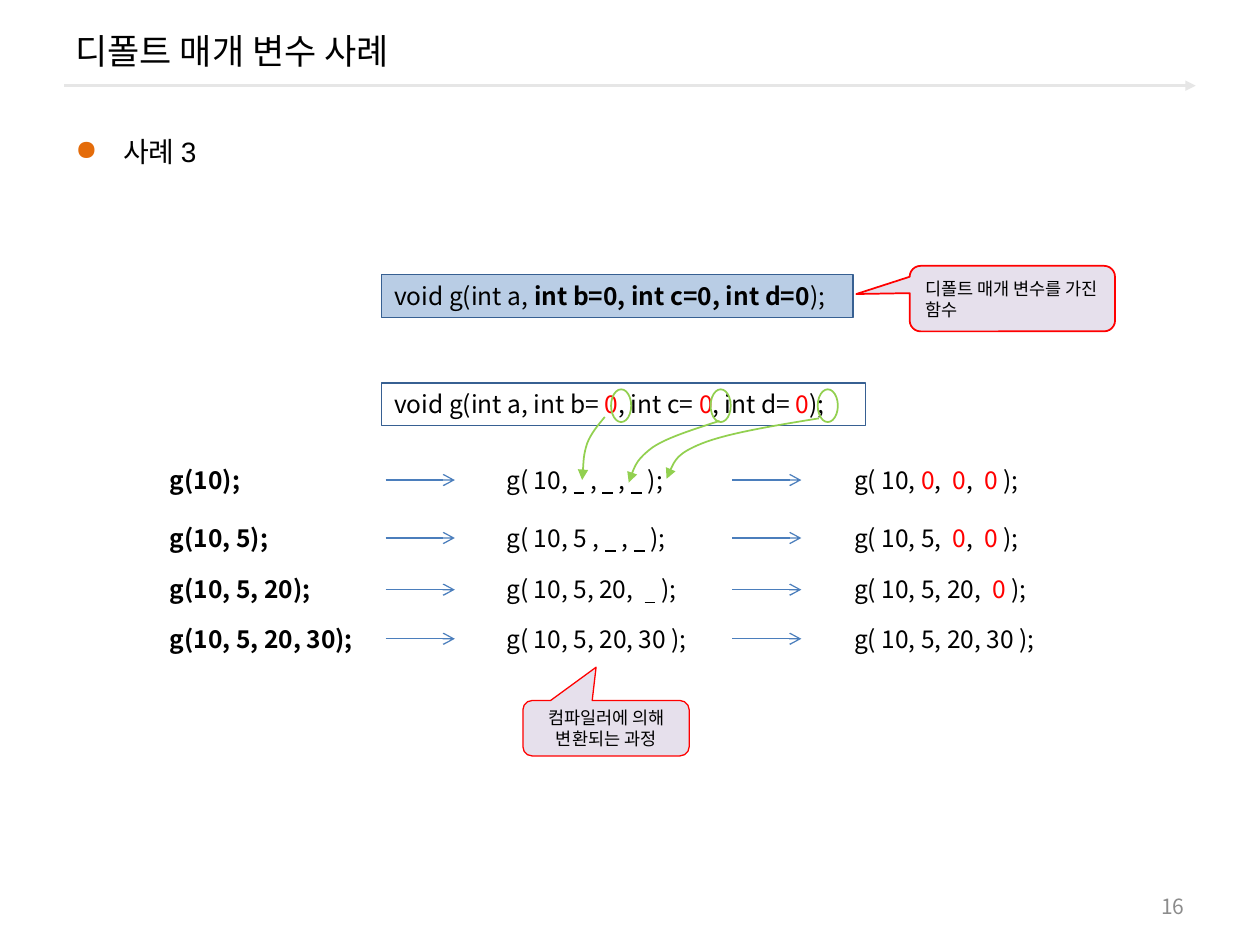
from lxml import etree
from pptx import Presentation
from pptx.dml.color import RGBColor
from pptx.enum.shapes import MSO_CONNECTOR, MSO_SHAPE
from pptx.enum.text import MSO_ANCHOR, MSO_AUTO_SIZE, PP_ALIGN
from pptx.oxml.ns import qn
from pptx.util import Inches, Pt

RECTANGLE = MSO_SHAPE.RECTANGLE
OVAL = MSO_SHAPE.OVAL
CALLOUT = MSO_SHAPE.ROUNDED_RECTANGULAR_CALLOUT
STRAIGHT = MSO_CONNECTOR.STRAIGHT
TOP, MIDDLE = MSO_ANCHOR.TOP, MSO_ANCHOR.MIDDLE
LEFT, CENTER, RIGHT = PP_ALIGN.LEFT, PP_ALIGN.CENTER, PP_ALIGN.RIGHT
FIT_TEXT = MSO_AUTO_SIZE.SHAPE_TO_FIT_TEXT
FONT = "Noto Sans CJK KR"
BLACK, RED, GREEN = "000000", "FF0000", "92D050"
LINE_HEIGHT = 0.34

CALL_ROWS = [
    (3.64, ("g(10);", 0.81), ("g( 10, |  | , |  | , |  | );", 1.79),
     ("g( 10, |0|,  |0|,  |0| );", 1.64)),
    (4.1, ("g(10, 5);", 1.05), ("g( 10, 5 , |  | , |  | );", 1.76),
     ("g( 10, 5,  |0|,  |0| );", 1.64)),
    (4.51, ("g(10, 5, 20);", 1.39), ("g( 10, 5, 20,  |  | );", 1.77),
     ("g( 10, 5, 20,  |0| );", 1.68)),
    (4.9, ("g(10, 5, 20, 30);", 1.74), ("g( 10, 5, 20, 30 );", 1.78),
     ("g( 10, 5, 20, 30 );", 1.72)),
]
DEFAULT_VALUE_CURVES = [
    [(4.8, 3.31), (4.75, 3.37), (4.69, 3.44), (4.66, 3.52),
     (4.63, 3.61), (4.63, 3.71), (4.62, 3.81)],
    [(5.71, 3.34), (5.5, 3.41), (5.3, 3.47), (5.18, 3.55),
     (5.06, 3.64), (5.02, 3.73), (4.99, 3.83)],
    [(6.5, 3.32), (6.13, 3.38), (5.77, 3.44), (5.57, 3.52),
     (5.37, 3.6), (5.33, 3.7), (5.29, 3.8)],
]


def color(value):
    """Turn a hex string into a colour."""
    return RGBColor.from_string(value)


def write_text(shape, text, size, font=FONT, text_color=BLACK, bold=False,
               align=LEFT, anchor=TOP, wrap=True, emphasis=None, bullet=None):
    """Write one paragraph; parts between bars get the emphasis."""
    frame = shape.text_frame
    frame.word_wrap = wrap
    frame.vertical_anchor = anchor
    if not wrap:
        frame.auto_size = FIT_TEXT
    paragraph = frame.paragraphs[0]
    paragraph.alignment = align
    if bullet:
        add_bullet(paragraph, bullet)
    paragraph.font.size = Pt(size)
    paragraph.font.bold = bold
    paragraph.font.name = font
    paragraph.font.color.rgb = color(text_color)
    defaults = paragraph._p.pPr.find(qn("a:defRPr"))
    etree.SubElement(defaults, qn("a:ea"), typeface=FONT)
    for index, part in enumerate(text.split("|")):
        run = paragraph.add_run()
        run.text = part
        if index % 2 and emphasis:
            emphasis(run.font)


def add_bullet(paragraph, bullet_color):
    """Give the paragraph a coloured dot and a hanging indent."""
    properties = paragraph._p.get_or_add_pPr()
    properties.set("marL", str(Inches(0.38)))
    properties.set("indent", str(-Inches(0.38)))
    bullet = etree.SubElement(properties, qn("a:buClr"))
    etree.SubElement(bullet, qn("a:srgbClr"), val=bullet_color)
    etree.SubElement(properties, qn("a:buChar"), char="●")


def make_red(font):
    """Colour a default value red."""
    font.color.rgb = color(RED)


def make_underlined(font):
    """Underline an empty argument."""
    font.underline = True


def make_bold(font):
    """Embolden a default parameter."""
    font.bold = True


def add_text(slide, box, text, size, **style):
    """Add a text box."""
    shape = slide.shapes.add_textbox(*map(Inches, box))
    write_text(shape, text, size, **style)


def style_shape(shape, line, width, fill=None):
    """Set the outline and fill and remove the shadow."""
    shape.shadow.inherit = False
    shape.line.color.rgb = color(line)
    shape.line.width = Pt(width)
    if fill:
        shape.fill.solid()
        shape.fill.fore_color.rgb = color(fill)
    else:
        shape.fill.background()


def add_box(slide, kind, box, line, width, fill=None):
    """Add a styled preset shape."""
    shape = slide.shapes.add_shape(kind, *map(Inches, box))
    style_shape(shape, line, width, fill)
    return shape


def add_arrowhead(shape, kind):
    """Put an arrowhead at the end of a line."""
    etree.SubElement(shape.line._get_or_add_ln(), qn("a:tailEnd"), type=kind)


def add_arrow(slide, left, right, y, line, width, head):
    """Add a horizontal arrow."""
    arrow = slide.shapes.add_connector(
        STRAIGHT, Inches(left), Inches(y), Inches(right), Inches(y))
    arrow.line.color.rgb = color(line)
    arrow.line.width = Pt(width)
    add_arrowhead(arrow, head)
    etree.SubElement(arrow._element.spPr, qn("a:effectLst"))


def add_curve(slide, points):
    """Add a green arrow of cubic curves, three points to a curve."""
    start, *rest = [(Inches(x), Inches(y)) for x, y in points]
    builder = slide.shapes.build_freeform(*start)
    builder.add_line_segments(rest, close=False)
    shape = builder.convert_to_shape()
    style_shape(shape, GREEN, 1)
    add_arrowhead(shape, "triangle")
    outline = next(shape._element.iter(qn("a:path")))
    segments = outline.findall(qn("a:lnTo"))
    for first in range(0, len(segments), 3):
        curve = etree.SubElement(outline, qn("a:cubicBezTo"))
        for segment in segments[first:first + 3]:
            curve.append(segment[0])
            outline.remove(segment)


def add_header(slide, left, top, width, height):
    """Add the title and the arrow beneath it."""
    add_arrow(slide, left + 0.01, left + width - 0.01, top + 0.6,
              "E6E6E6", 1.5, "triangle")
    add_text(slide, (left, top, width, height), "디폴트 매개 변수 사례", 20, anchor=MIDDLE)


def add_declaration(slide, box, text, emphasis, fill=None):
    """Add a framed function declaration."""
    shape = add_box(slide, RECTANGLE, box, "376092", 0.75, fill)
    write_text(shape, text, 14, wrap=False, emphasis=emphasis)


def add_callout(slide, box, text, tip, width, align):
    """Add a callout whose tip is given relative to its box."""
    shape = add_box(slide, CALLOUT, box, RED, width, "E6E0EC")
    shape.adjustments[0], shape.adjustments[1] = tip
    write_text(shape, text, 10, align=align, anchor=MIDDLE)


def add_call_row(slide, left, top, call, blanks, result):
    """Add a call, its blanks and its result, with arrows between."""
    columns = [(0, call, None), (2.67, blanks, make_underlined),
               (5.43, result, make_red)]
    for offset, (text, width), emphasis in columns:
        add_text(slide, (left + offset, top, width, LINE_HEIGHT), text, 14,
                 bold=offset == 0, wrap=False, emphasis=emphasis)
    for offset in (1.81, 4.56):
        add_arrow(slide, left + offset, left + offset + 0.55,
                  top + LINE_HEIGHT / 2, "4B7EBC", 0.75, "arrow")


def main():
    """Build and save the slide."""
    presentation = Presentation()
    presentation.slide_width, presentation.slide_height = Inches(10), Inches(7.5)
    slide = presentation.slides.add_slide(presentation.slide_layouts[6])
    add_header(slide, 0.5, 0.08, 9, 0.64)
    add_text(slide, (7.17, 7.03, 2.33, 0.32), "16", 12, text_color="8C8C8C",
             align=RIGHT, anchor=MIDDLE)
    add_text(slide, (0.5, 1.02, 9, 6.02), "사례 3", 16, font="Arial", bullet="E46C0A")
    add_declaration(slide, (3.03, 3.04, 3.84, LINE_HEIGHT),
                    "void g(int a, int b= |0|, int c= |0|, int d= |0|);", make_red)
    for top, *cells in CALL_ROWS:
        add_call_row(slide, 1.25, top, *cells)
    for left in (4.85, 5.64, 6.49):
        add_box(slide, OVAL, (left, 3.09, 0.16, 0.26), GREEN, 1)
    for points in DEFAULT_VALUE_CURVES:
        add_curve(slide, points)
    add_declaration(slide, (3.03, 2.18, 3.74, LINE_HEIGHT),
                    "void g(int a, |int b=0, int c=0, int d=0|);", make_bold, "B9CDE5")
    add_callout(slide, (7.22, 2.11, 1.63, 0.52), "디폴트 매개 변수를 가진 함수",
                (-0.76, -0.07), 1, LEFT)
    add_callout(slide, (4.15, 5.56, 1.32, 0.44), "컴파일러에 의해 변환되는 과정",
                (-0.06, -1.1), 0.75, CENTER)
    presentation.save("out.pptx")


if __name__ == "__main__":
    main()
